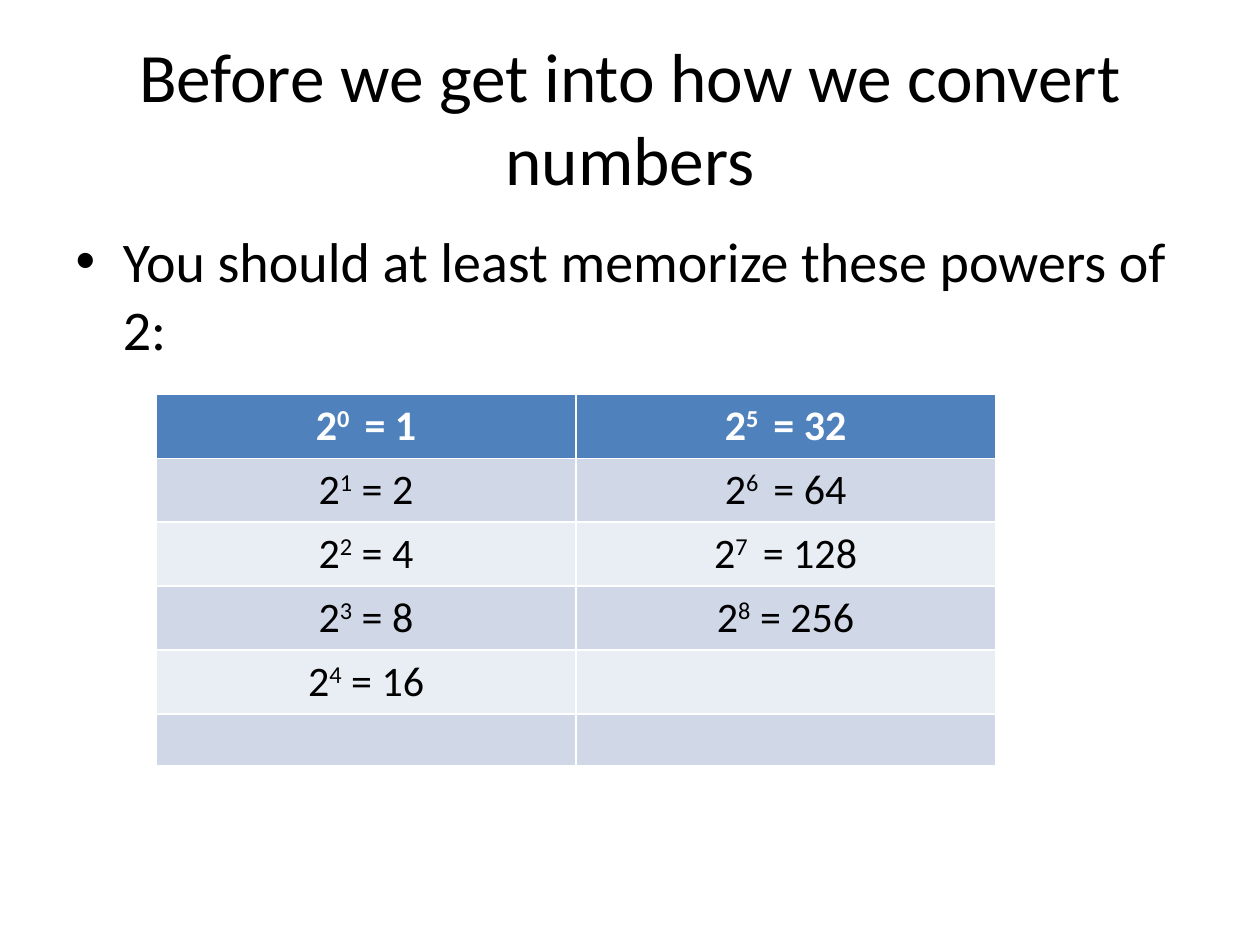
"""Build the slide on the powers of 2 to memorize."""
from pptx import Presentation
from pptx.dml.color import RGBColor
from pptx.enum import text
from pptx.util import Inches, Pt

TITLE = "Before we get into how we convert numbers"
BODY = "You should at least memorize these powers of 2:"
POWERS = [
    [("0 ", " = 1"), ("5 ", " = 32")],
    [("1", " = 2"), ("6 ", " = 64")],
    [("2", " = 4"), ("7 ", " = 128")],
    [("3", " = 8"), ("8", " = 256")],
    [("4", " = 16"), None],
    [None, None],
]
THEME = {
    "font": "Calibri", "title": 39.6, "body": 32, "cell": 24,
    "ink": "000000", "light": "FFFFFF",
    "head": "4F81BD", "bands": ("E9EDF4", "D0D8E8"),
}
CENTER = text.PP_ALIGN.CENTER


def add_run(para, words, size, color, bold=False, power=False):
    """Add one styled run, raised when it is a power."""
    run = para.add_run()
    run.text = words
    font = run.font
    font.name, font.size, font.bold = THEME["font"], Pt(size), bold
    font.color.rgb = RGBColor.from_string(color)
    if power:
        run._r.get_or_add_rPr().set("baseline", "30000")


def fill_holder(shape, words, size, box, anchor):
    """Place a placeholder and write its words."""
    shape.left, shape.top, shape.width, shape.height = map(Inches, box)
    frame = shape.text_frame
    frame.word_wrap = True
    frame.auto_size = text.MSO_AUTO_SIZE.NONE
    frame.vertical_anchor = anchor
    para = frame.paragraphs[0]
    add_run(para, words, size, THEME["ink"])
    return para


def add_powers(slide):
    """Add the table of powers with a header and banded rows."""
    rows, cols = len(POWERS), len(POWERS[0])
    table = slide.shapes.add_table(
        rows, cols, Inches(1.24), Inches(3.13),
        Inches(6.66), Inches(0.41 * rows)).table
    for r, row in enumerate(POWERS):
        head = r == 0
        color = THEME["light" if head else "ink"]
        shade = THEME["head"] if head else THEME["bands"][r % 2]
        for c, item in enumerate(row):
            cell = table.cell(r, c)
            cell.fill.solid()
            cell.fill.fore_color.rgb = RGBColor.from_string(shade)
            if item:
                para = cell.text_frame.paragraphs[0]
                para.alignment = CENTER
                power, value = item
                for words, raised in (("2", False), (power, True), (value, False)):
                    add_run(para, words, THEME["cell"], color, head, raised)


def main():
    """Build and save the slide."""
    deck = Presentation()
    deck.slide_width, deck.slide_height = Inches(10), Inches(7.5)
    slide = deck.slides.add_slide(deck.slide_layouts[1])
    title, body = slide.placeholders
    para = fill_holder(title, TITLE, THEME["title"], (0.5, 0.3, 9, 1.25),
                       text.MSO_ANCHOR.MIDDLE)
    para.alignment = CENTER
    para = fill_holder(body, BODY, THEME["body"], (0.5, 1.75, 9, 4.95),
                       text.MSO_ANCHOR.TOP)
    para.space_before = Pt(0)
    add_powers(slide)
    deck.save("out.pptx")


if __name__ == "__main__":
    main()
